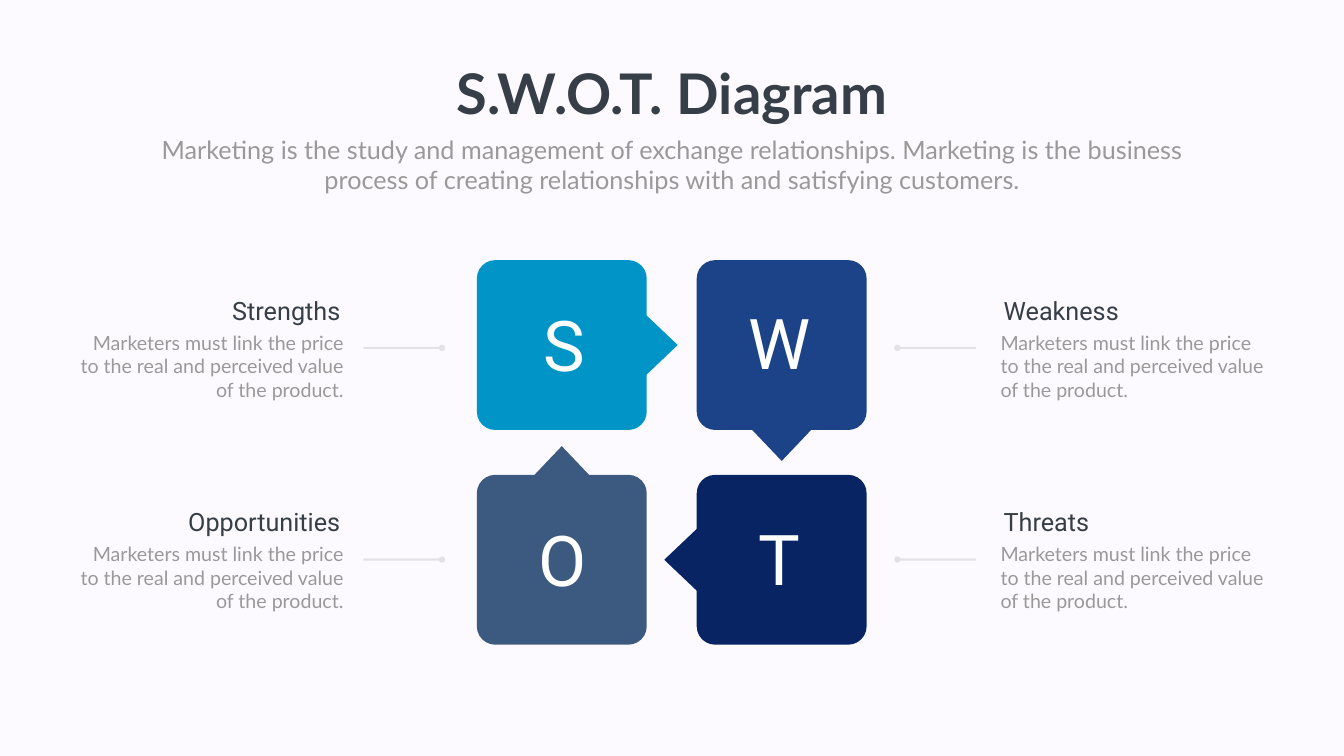
"""Build a S.W.O.T. diagram slide on a square grid one hundred columns wide."""

from dataclasses import dataclass

from lxml import etree
from pptx import Presentation
from pptx.dml.color import RGBColor
from pptx.enum.shapes import MSO_CONNECTOR, MSO_SHAPE
from pptx.enum.text import MSO_AUTO_SIZE, PP_ALIGN
from pptx.oxml.ns import qn
from pptx.util import Inches, Pt

LEFT, CENTER, RIGHT = PP_ALIGN.LEFT, PP_ALIGN.CENTER, PP_ALIGN.RIGHT
ROUNDED, TRIANGLE = MSO_SHAPE.ROUNDED_RECTANGLE, MSO_SHAPE.ISOSCELES_TRIANGLE
STRAIGHT = MSO_CONNECTOR.STRAIGHT
GROW = MSO_AUTO_SIZE.SHAPE_TO_FIT_TEXT

WIDTH, HEIGHT = 26.66, 15
CELL = WIDTH / 100
MIDDLE = 50

TILE = 12.64
TILE_X, TILE_Y = 41.8, 25.68
TILE_COLUMN, TILE_ROW = 16.36, 15.98
POINTER_WIDTH, POINTER_HEIGHT = 6.56, 3.45
LETTER_WIDTH, LETTER_HEIGHT = 6.26, 6.68

NOTE_ROW = 15.75
HEADING_X, HEADING_Y, HEADING_WIDTH, HEADING_HEIGHT = 74.31, 21.76, 13.39, 2.66
BODY_X, BODY_Y, BODY_WIDTH, BODY_HEIGHT = 74.08, 24.42, 20.52, 5.66
LINE_START, LINE_END, LINE_Y = 66.77, 72.62, 25.89
LINE_MIDDLE = 49.83

COLORS = {
    "background": "FDFAFF",
    "strengths": "0094C7",
    "weakness": "1C4288",
    "opportunities": "3C5A80",
    "threats": "082463",
    "letter": "FFFFFF",
    "dark": "363E48",
    "gray": "999999",
    "line": "808080",
}

SUBTITLE = (
    "Marketing is the study and management of exchange relationships. "
    "Marketing is the business process of creating relationships with "
    "and satisfying customers."
)
BODY = "Marketers must link the price to the real and perceived value of the product."


@dataclass(frozen=True)
class Style:
    font: str
    size: int
    color: str
    bold: bool = False


@dataclass(frozen=True)
class Quadrant:
    letter: str
    heading: str
    color: str
    column: int
    row: int
    direction: tuple[int, int]
    rotation: int
    reach: float
    letter_shift: tuple[float, float]


TITLE_STYLE = Style("Lato", 80, "dark", True)
SUBTITLE_STYLE = Style("Lato", 36, "gray")
LETTER_STYLE = Style("Roboto", 100, "letter")
HEADING_STYLE = Style("Roboto", 36, "dark")
BODY_STYLE = Style("Lato", 28, "gray")

QUADRANTS = [
    Quadrant("S", "Strengths", "strengths", 0, 0, (1, 0), 90, 6.9, (0.19, -0.06)),
    Quadrant("W", "Weakness", "weakness", 1, 0, (0, 1), 180, 6.9, (-0.15, -0.21)),
    Quadrant("O", "Opportunities", "opportunities", 0, 1, (0, -1), 0, 6.73, (0.04, -0.06)),
    Quadrant("T", "Threats", "threats", 1, 1, (-1, 0), 270, 7.01, (-0.15, -0.13)),
]


def cells(count: float) -> int:
    return Inches(count * CELL)


def rgb(name: str) -> RGBColor:
    return RGBColor.from_string(COLORS[name])


def add_text(page, text: str, style: Style, align, left: float, top: float,
             width: float, height: float, wrap: bool = True) -> None:
    box = page.shapes.add_textbox(cells(left), cells(top), cells(width), cells(height))
    frame = box.text_frame
    frame.word_wrap = wrap
    frame.auto_size = GROW
    para = frame.paragraphs[0]
    para.text = text
    para.alignment = align
    para.font.name = style.font
    para.font.size = Pt(style.size)
    para.font.bold = style.bold
    para.font.color.rgb = rgb(style.color)


def add_block(page, preset, color: str, center_x: float, center_y: float,
              width: float, height: float):
    block = page.shapes.add_shape(preset, cells(center_x - width / 2),
                                  cells(center_y - height / 2),
                                  cells(width), cells(height))
    block.shadow.inherit = False
    block.fill.solid()
    block.fill.fore_color.rgb = rgb(color)
    block.line.fill.background()
    return block


def add_leader(page, start: float, end: float, y: float) -> None:
    leader = page.shapes.add_connector(STRAIGHT, cells(start), cells(y), cells(end), cells(y))
    leader.line.width = Pt(3)
    leader.line.color.rgb = rgb("line")
    properties = leader._element.spPr
    color = properties.find(".//" + qn("a:srgbClr"))
    etree.SubElement(color, qn("a:alpha"), val="20000")
    etree.SubElement(properties.find(qn("a:ln")), qn("a:headEnd"), type="oval")
    etree.SubElement(properties, qn("a:effectLst"))


def draw_tile(page, quadrant: Quadrant) -> None:
    x = TILE_X + quadrant.column * TILE_COLUMN
    y = TILE_Y + quadrant.row * TILE_ROW
    tile = add_block(page, ROUNDED, quadrant.color, x, y, TILE, TILE)
    tile.adjustments[0] = 0.108
    step_x, step_y = quadrant.direction
    pointer = add_block(page, TRIANGLE, quadrant.color, x + step_x * quadrant.reach,
                        y + step_y * quadrant.reach, POINTER_WIDTH, POINTER_HEIGHT)
    pointer.rotation = quadrant.rotation
    shift_x, shift_y = quadrant.letter_shift
    add_text(page, quadrant.letter, LETTER_STYLE, CENTER,
             x + shift_x - LETTER_WIDTH / 2, y + shift_y - LETTER_HEIGHT / 2,
             LETTER_WIDTH, LETTER_HEIGHT)


def draw_note(page, quadrant: Quadrant) -> None:
    drop = quadrant.row * NOTE_ROW
    heading_x, body_x, start, end = HEADING_X, BODY_X, LINE_START, LINE_END
    align = LEFT
    if quadrant.column == 0:
        heading_x = 2 * MIDDLE - HEADING_X - HEADING_WIDTH
        body_x = 2 * MIDDLE - BODY_X - BODY_WIDTH
        start, end = 2 * LINE_MIDDLE - start, 2 * LINE_MIDDLE - end
        align = RIGHT
    add_leader(page, start, end, LINE_Y + drop)
    add_text(page, BODY, BODY_STYLE, align, body_x, BODY_Y + drop, BODY_WIDTH, BODY_HEIGHT)
    add_text(page, quadrant.heading, HEADING_STYLE, align, heading_x, HEADING_Y + drop,
             HEADING_WIDTH, HEADING_HEIGHT)


def main() -> None:
    deck = Presentation()
    deck.slide_width, deck.slide_height = Inches(WIDTH), Inches(HEIGHT)
    page = deck.slides.add_slide(deck.slide_layouts[6])
    page.background.fill.solid()
    page.background.fill.fore_color.rgb = rgb("background")
    add_text(page, "S.W.O.T. Diagram", TITLE_STYLE, CENTER, 33, 4.2, 34, 5.44, wrap=False)
    add_text(page, SUBTITLE, SUBTITLE_STYLE, CENTER, 10.95, 9.79, 78.1, 4.91)
    for quadrant in QUADRANTS:
        draw_tile(page, quadrant)
        draw_note(page, quadrant)
    deck.save("out.pptx")


if __name__ == "__main__":
    main()
